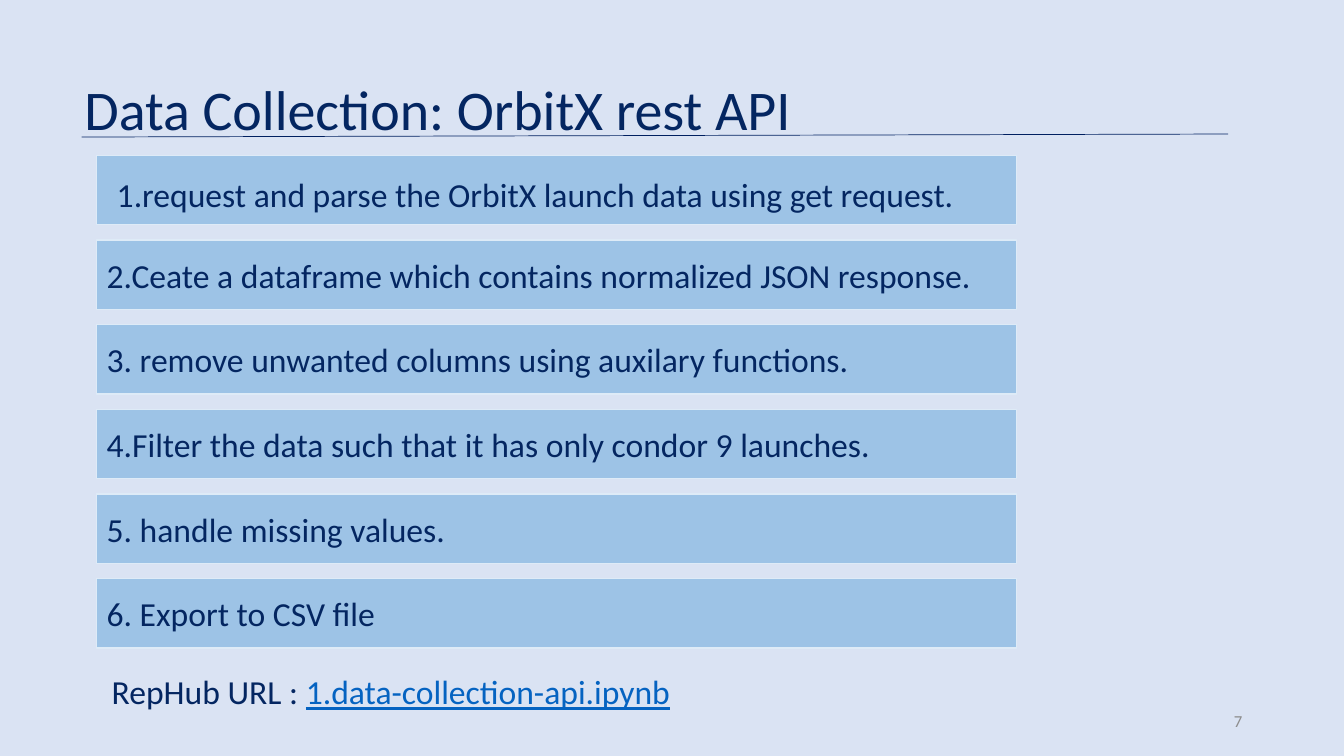
"""Build the data collection slide: a ruled title, six step bars and a source line."""
from dataclasses import dataclass

from lxml import etree
from pptx import Presentation
from pptx.dml.color import RGBColor
from pptx.enum.shapes import MSO_CONNECTOR, MSO_SHAPE
from pptx.enum.text import MSO_ANCHOR, PP_ALIGN
from pptx.oxml.ns import qn
from pptx.util import Inches, Pt

STRAIGHT = MSO_CONNECTOR.STRAIGHT
RECTANGLE = MSO_SHAPE.RECTANGLE
TOP, MIDDLE = MSO_ANCHOR.TOP, MSO_ANCHOR.MIDDLE
LEFT, RIGHT = PP_ALIGN.LEFT, PP_ALIGN.RIGHT
WIDTH, HEIGHT = Inches(13.33), Inches(7.5)


@dataclass(frozen=True)
class Theme:
    font: str = "Calibri"
    background: str = "DAE3F3"
    ink: str = "042661"
    rule: str = "002060"
    bar: str = "9DC3E6"
    bar_edge: str = "DEEBF7"
    link: str = "0563C1"
    muted: str = "8C8C8C"
    title_size: int = 40
    body_size: int = 24
    number_size: int = 12


@dataclass(frozen=True)
class Area:
    """A rectangle in percent of the slide's width and height."""
    left: float
    top: float
    width: float
    height: float

    def emu(self) -> tuple[int, int, int, int]:
        return (across(self.left), down(self.top),
                across(self.width), down(self.height))


@dataclass(frozen=True)
class Caption:
    text: str
    area: Area
    size: int
    color: str = Theme.ink
    align: PP_ALIGN = LEFT
    anchor: MSO_ANCHOR = TOP
    link: str = ""


THEME = Theme()
FIRST_BAR = Area(7.2, 20.53, 68.42, 9.2)
BAR_PITCH = 11.2
RULE_START, RULE_END = (6.08, 18.13), (91.37, 17.73)

STEPS = (
    "",
    "2.Ceate a dataframe which contains normalized JSON response.",
    "3. remove unwanted columns using auxilary functions.",
    "4.Filter the data such that it has only condor 9 launches.",
    "5. handle missing values.",
    "6. Export to CSV file",
)
CAPTIONS = (
    Caption("Data Collection: OrbitX rest API",
            Area(5.55, 9.2, 59.56, 10.27), THEME.title_size),
    Caption("1.request and parse the OrbitX launch data using get request.",
            Area(7.95, 22.4, 66.99, 6.67), THEME.body_size),
    Caption("RepHub URL : ", Area(7.58, 88.13, 53.64, 6.67), THEME.body_size,
            link="1.data-collection-api.ipynb"),
    Caption("7", Area(70.67, 92.67, 22.51, 5.33), THEME.number_size,
            color=THEME.muted, align=RIGHT, anchor=MIDDLE),
)


def across(percent: float) -> int:
    return round(WIDTH * percent / 100)


def down(percent: float) -> int:
    return round(HEIGHT * percent / 100)


def rgb(color: str) -> RGBColor:
    return RGBColor.from_string(color)


def write(frame, text: str, *, size: int, color: str = THEME.ink,
          align: PP_ALIGN = LEFT, anchor: MSO_ANCHOR = TOP,
          underline: bool = False) -> None:
    frame.word_wrap = True
    frame.vertical_anchor = anchor
    paragraph = frame.paragraphs[0]
    paragraph.alignment = align
    run = paragraph.add_run()
    run.text = text
    run.font.name = THEME.font
    run.font.size = Pt(size)
    run.font.color.rgb = rgb(color)
    if underline:
        run.font.underline = True


def draw_rule(slide) -> None:
    (x1, y1), (x2, y2) = RULE_START, RULE_END
    rule = slide.shapes.add_connector(
        STRAIGHT, across(x1), down(y1), across(x2), down(y2))
    rule.line.color.rgb = rgb(THEME.rule)
    rule.line.width = Pt(0.5)
    etree.SubElement(rule._element.spPr, qn("a:effectLst"))


def draw_step(slide, row: int, text: str) -> None:
    area = Area(FIRST_BAR.left, FIRST_BAR.top + row * BAR_PITCH,
                FIRST_BAR.width, FIRST_BAR.height)
    bar = slide.shapes.add_shape(RECTANGLE, *area.emu())
    bar.shadow.inherit = False
    bar.fill.solid()
    bar.fill.fore_color.rgb = rgb(THEME.bar)
    bar.line.color.rgb = rgb(THEME.bar_edge)
    bar.line.width = Pt(1)
    if text:
        write(bar.text_frame, text, size=THEME.body_size, anchor=MIDDLE)


def draw_caption(slide, caption: Caption) -> None:
    frame = slide.shapes.add_textbox(*caption.area.emu()).text_frame
    write(frame, caption.text, size=caption.size, color=caption.color,
          align=caption.align, anchor=caption.anchor)
    if caption.link:
        write(frame, caption.link, size=caption.size, color=THEME.link,
              underline=True)


def main() -> None:
    deck = Presentation()
    deck.slide_width, deck.slide_height = WIDTH, HEIGHT
    slide = deck.slides.add_slide(deck.slide_layouts[6])
    slide.background.fill.solid()
    slide.background.fill.fore_color.rgb = rgb(THEME.background)
    draw_rule(slide)
    for row, step in enumerate(STEPS):
        draw_step(slide, row, step)
    for caption in CAPTIONS:
        draw_caption(slide, caption)
    deck.save("out.pptx")


if __name__ == "__main__":
    main()
